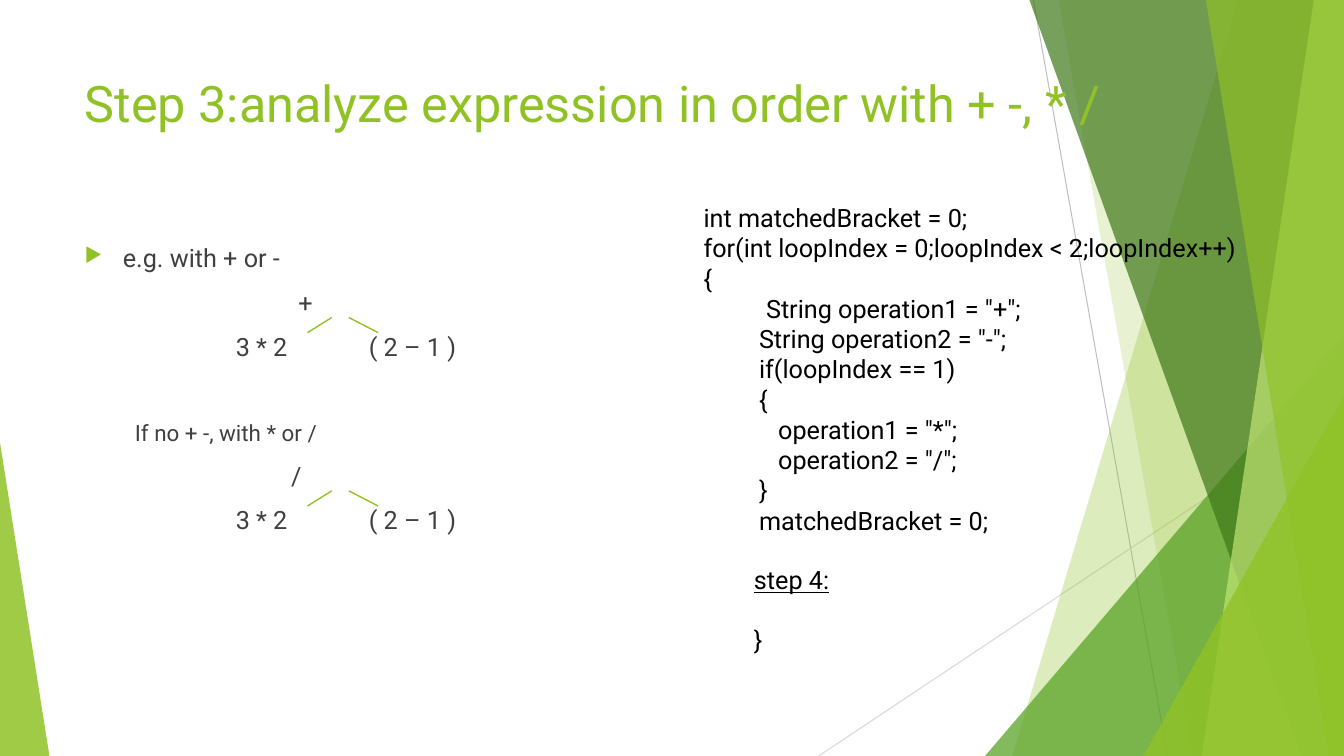
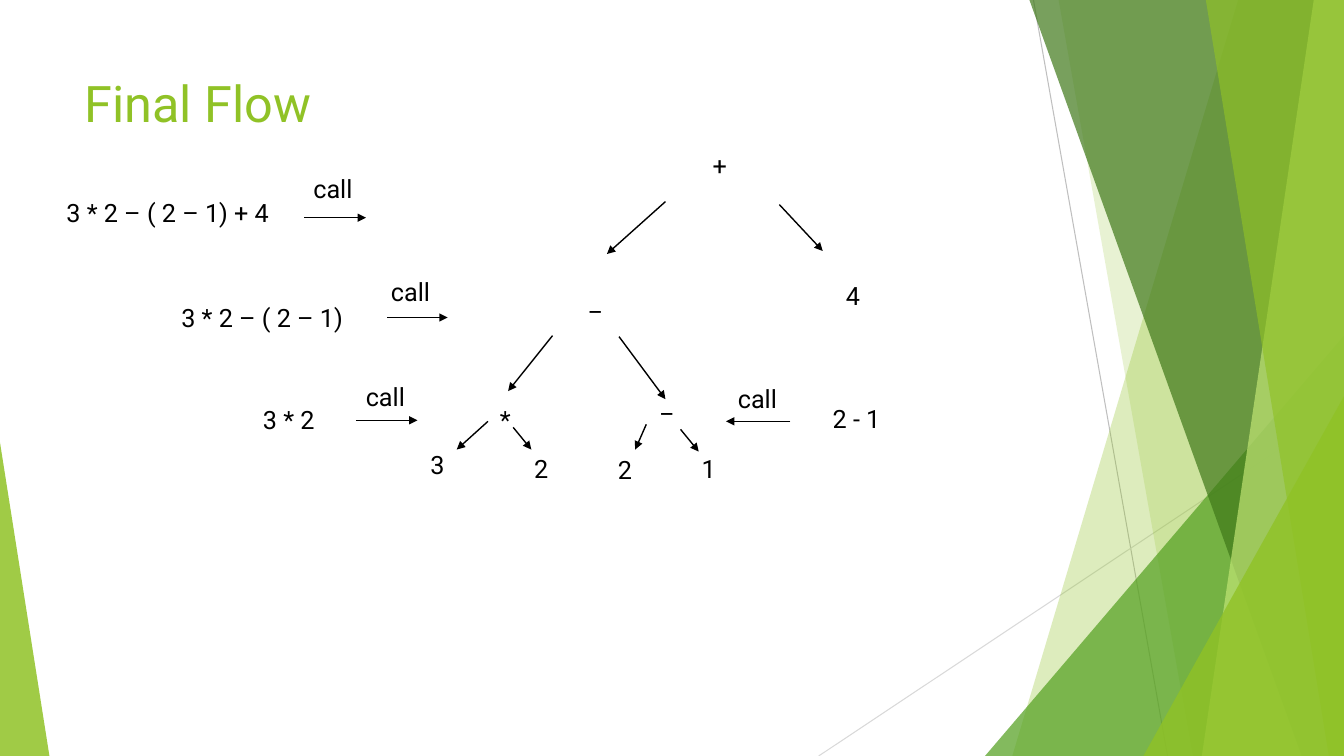
from lxml.etree import SubElement as Sub
from pptx import Presentation
from pptx.dml.color import RGBColor as Rgb
from pptx.enum.shapes import MSO_CONNECTOR as Conn, MSO_SHAPE as Kind
from pptx.enum.text import MSO_ANCHOR as Anchor, PP_ALIGN as Align
from pptx.oxml.ns import qn
from pptx.util import Inches, Pt

WIDE, HIGH = 13.33, 7.5
FONT = "Roboto"
HUES = {"lime": "90C226", "leaf": "54A021", "moss": "3F7819", "pale": "C0E474",
        "rule": "BFBFBF", "mist": "D9D9D9", "gray": "404040", "ink": "000000"}
LINE = 21.1  # height of one 18 pt line, in points

# Shared backdrop, back to front
RULES = [((10.25, 0), (11.58, HIGH), "rule"), ((WIDE, 4.03), (8.12, HIGH), "mist")]
BANDS = [  # band: top x, bottom x; wedge: left, top, right, apex share
    ("band", (12.28, 10.04), "lime", 30),
    ("band", (10.5, 11.83), "lime", 20),
    ("wedge", (9.77, 3.33, WIDE, 1), "leaf", 72),
    ("band", (10.21, 12.91), "moss", 70),
    ("band", (13.03, 11.92), "pale", 70),
    ("band", (11.96, 13.18), "lime", 65),
    ("wedge", (11.34, 3.93, WIDE, 1), "lime", 80),
    ("wedge", (0, 4.39, 0.49, 0), "lime", 85),
]

# Slide 1: text, indent in inches, points before, then options
SPLIT = "\t3 * 2\t( 2 – 1 )"
TABS = (1.5, 2.82)
STEPS = [
    ("e.g. with + or -", 0.38, 0, {"mark": "▶"}),
    ("+", 2.12, 10, {}),
    (SPLIT, 0, 10, {"tabs": TABS}),
    ("If no + -, with * or /", 0.5, 20 + LINE, {"size": 16}),
    ("/", 2.05, 10, {}),
    (SPLIT, 0, 10, {"tabs": TABS}),
]
CODE = [
    ("int matchedBracket = 0;", 0, 0, {}),
    ("for(int loopIndex = 0;loopIndex < 2;loopIndex++)", 0, 0, {}),
    ("{", 0, 0, {}),
    ('String operation1 = "+";', 0.62, 0, {}),
    ('String operation2 = "-";', 0.55, 0, {}),
    ("if(loopIndex == 1)", 0.55, 0, {}),
    ("{", 0.55, 0, {}),
    ('operation1 = "*";', 0.74, 0, {}),
    ('operation2 = "/";', 0.74, 0, {}),
    ("}", 0.55, 0, {}),
    ("matchedBracket = 0;", 0.55, 0, {}),
    ("step 4:", 0.5, LINE, {"under": True}),
    ("}", 0.5, LINE, {}),
]
FORKS = (3.15, 4.87)  # top of each pair of branches
TWIGS = [(3.29, 3.05), (3.46, 3.75)]

# Slide 2: expression, its place and width, call label, arrow start, end and height
CALLS = [
    ("3 * 2 – ( 2 – 1) + 4", (0.56, 1.91, 2.28), (3.01, 1.67), (3.02, 3.63, 2.16)),
    ("3 * 2 – ( 2 – 1)", (1.7, 2.95, 2.28), (3.78, 2.69), (3.84, 4.44, 3.15)),
    ("3 * 2", (2.51, 3.96, 1.32), (3.53, 3.73), (3.53, 4.14, 4.17)),
    ("2 - 1", (8.16, 3.95, 1.32), (7.22, 3.75), (7.84, 7.2, 4.18)),
]
NODES = [("+", 6.97, 1.44), ("4", 8.29, 2.73), ("_", 5.75, 2.79), ("*", 4.86, 3.96),
         ("_", 6.46, 3.8), ("3", 4.17, 4.41), ("2", 5.2, 4.45), ("2", 6.03, 4.46),
         ("1", 6.86, 4.45)]
EDGES = [((6.6, 2), (6.02, 2.52)), ((7.73, 2.03), (8.16, 2.49)),
         ((5.48, 3.33), (5.04, 3.88)), ((6.14, 3.34), (6.6, 3.96)),
         ((4.84, 4.18), (4.53, 4.46)), ((5.09, 4.24), (5.27, 4.46)),
         ((6.41, 4.21), (6.3, 4.46)), ((6.75, 4.26), (6.93, 4.48))]


def tint(hue):
    """Return a named colour."""
    return Rgb.from_string(HUES[hue])


def style(para, hue, size=18):
    """Set the font of a whole paragraph."""
    para.font.name, para.font.size = FONT, Pt(size)
    para.font.color.rgb = tint(hue)


def link(slide, start, end, hue, width=1, head=False):
    """Draw a straight line, with an arrowhead if asked."""
    line = slide.shapes.add_connector(
        Conn.STRAIGHT, *(Inches(n) for n in (*start, *end)))
    line.line.color.rgb, line.line.width = tint(hue), Pt(width)
    props = line._element.spPr
    if head:
        Sub(props.find(qn("a:ln")), qn("a:tailEnd"), type="triangle")
    Sub(props, qn("a:effectLst"))


def band(slide, top, base):
    """Build a full-height band that reaches the right edge."""
    pts = [(Inches(x), Inches(y)) for x, y in
           ((top, 0), (WIDE, 0), (WIDE, HIGH), (base, HIGH))]
    pen = slide.shapes.build_freeform(*pts[0])
    pen.add_line_segments(pts[1:], close=True)
    return pen.convert_to_shape()


def wedge(slide, left, top, right, apex):
    """Add a triangle standing on the bottom edge."""
    shape = slide.shapes.add_shape(
        Kind.ISOSCELES_TRIANGLE, Inches(left), Inches(top),
        Inches(right - left), Inches(HIGH - top))
    shape.adjustments[0] = apex
    return shape


def backdrop(slide, layout):
    """Draw the shared backdrop and hand it to the layout."""
    for start, end, hue in RULES:
        link(slide, start, end, hue, 0.75)
    for kind, dims, hue, alpha in BANDS:
        shape = {"band": band, "wedge": wedge}[kind](slide, *dims)
        shape.shadow.inherit = False
        shape.line.fill.background()
        shape.fill.solid()
        shape.fill.fore_color.rgb = tint(hue)
        color = shape._element.spPr.find(".//" + qn("a:srgbClr"))
        Sub(color, qn("a:alpha"), val=str(alpha * 1000))
    parts = [s for s in slide.shapes if not s.is_placeholder]
    for num, part in enumerate(parts, 20):
        part._element.xpath(".//p:cNvPr")[0].set("id", str(num))
        layout.shapes._spTree.append(part._element)


def head(slide, text, width):
    """Place and format the title."""
    title = slide.shapes.title
    title.left, title.top = Inches(0.74), Inches(0.67)
    title.width, title.height = Inches(width), Inches(1.44)
    title.text = text
    title.text_frame.vertical_anchor = Anchor.TOP
    para = title.text_frame.paragraphs[0]
    para.alignment = Align.LEFT
    style(para, "lime", 36)


def block(slide, lines, area, hue):
    """Write indented lines into one text box."""
    frame = slide.shapes.add_textbox(*(Inches(n) for n in area)).text_frame
    frame.word_wrap = True
    for num, (text, indent, gap, opts) in enumerate(lines):
        para = frame.add_paragraph() if num else frame.paragraphs[0]
        para.text = text
        para.space_before = Pt(gap)
        style(para, hue, opts.get("size", 18))
        if opts.get("under"):
            para.font.underline = True
        props = para._p.get_or_add_pPr()
        props.set("marL", str(Inches(indent)))
        rest = props.find(qn("a:defRPr"))
        if "mark" in opts:
            props.set("indent", str(-Inches(indent)))
            color = Sub(props, qn("a:buClr"))
            Sub(color, qn("a:srgbClr"), val=HUES["lime"])
            Sub(props, qn("a:buSzPct"), val="80000")
            Sub(props, qn("a:buChar"), char=opts["mark"])
        if "tabs" in opts:
            stops = Sub(props, qn("a:tabLst"))
            for stop in opts["tabs"]:
                Sub(stops, qn("a:tab"), pos=str(Inches(stop)), algn="l")
        if rest is not None:
            props.append(rest)


def label(slide, text, left, top, width=0.55):
    """Write one line of black text."""
    block(slide, [(text, 0, 0, {})], (left, top, width, 0.4), "ink")


def step(slide):
    """Fill the slide that splits an expression."""
    head(slide, "Step 3:analyze expression in order with + -, * /", 11.22)
    block(slide, STEPS, (0.74, 2.36, 5.93, 4.24), "gray")
    block(slide, CODE, (6.88, 1.96, 6.46, 4.64), "ink")
    for top in FORKS:
        for start, end in TWIGS:
            link(slide, (start, top), (end, top + 0.15), "lime")


def flow(slide):
    """Fill the slide with the call tree."""
    head(slide, "Final Flow", 9.4)
    for text, area, call, (start, end, row) in CALLS:
        label(slide, text, *area)
        label(slide, "call", *call, 1.04)
        link(slide, (start, row), (end, row), "ink", head=True)
    for node in NODES:
        label(slide, *node)
    for start, end in EDGES:
        link(slide, start, end, "ink", head=True)


deck = Presentation()
deck.slide_width, deck.slide_height = Inches(WIDE), Inches(HIGH)
plain = deck.slide_layouts[5]
first = deck.slides.add_slide(plain)
backdrop(first, plain)
step(first)
flow(deck.slides.add_slide(plain))
deck.save("out.pptx")
